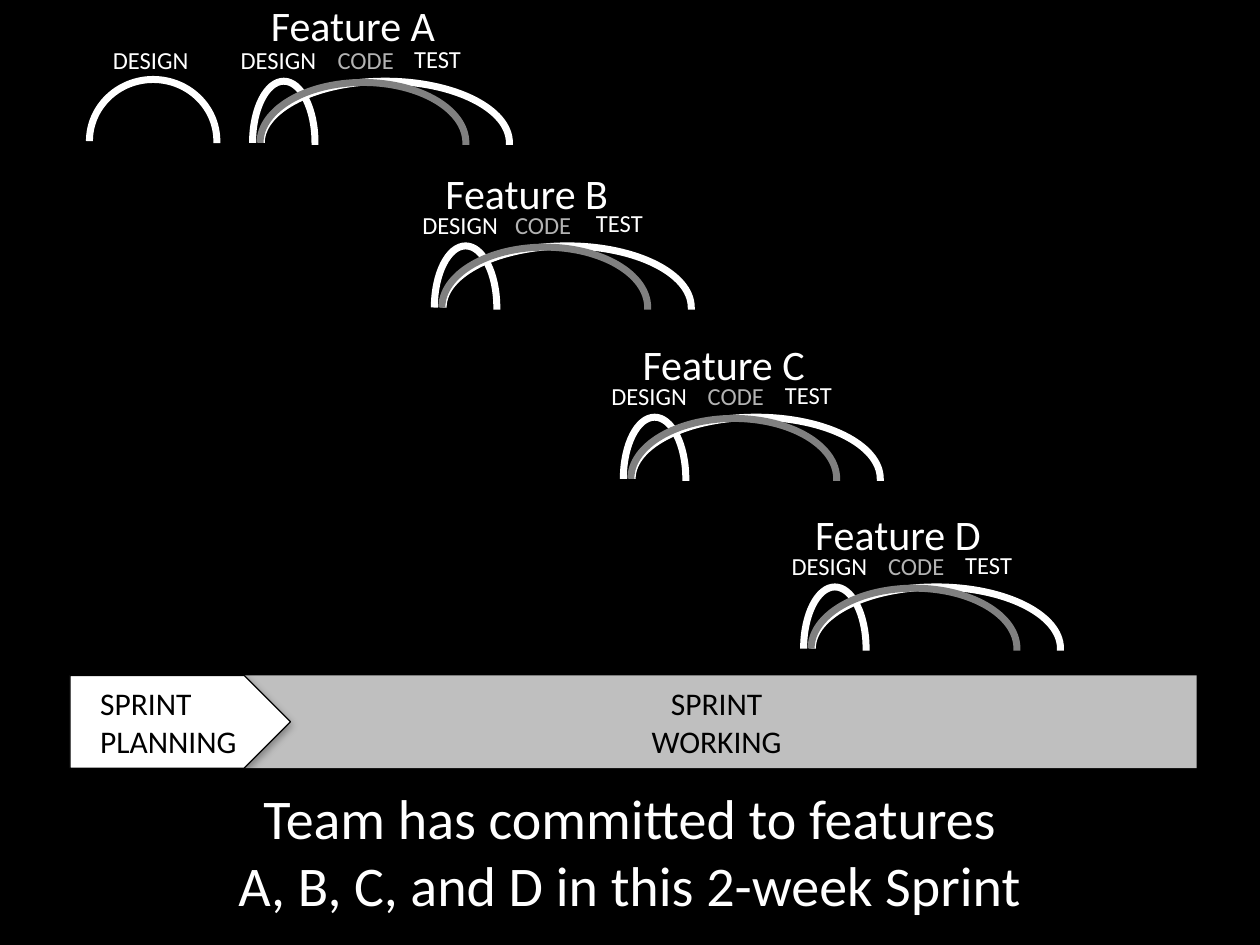
import dataclasses

import lxml.etree
import pptx
import pptx.dml.color
import pptx.enum.shapes
import pptx.enum.text
import pptx.oxml.ns
import pptx.util

Pt = pptx.util.Pt
qn = pptx.oxml.ns.qn
Align = pptx.enum.text.PP_ALIGN
Shapes = pptx.enum.shapes.MSO_SHAPE

COLORS = {
    "black": "000000",
    "white": "FFFFFF",
    "code_label": "B3B3B3",
    "code_arc": "808080",
    "band": "BFBFBF",
}
FONT = "Calibri"
ARC_BOTTOM = 36.4
ARC_TAIL = 1.2
QUARTER_CURVE = 0.5523  # Bezier handle length of a quarter ellipse


@dataclasses.dataclass
class Label:
    text: str
    left: float
    top: float
    width: float
    height: float = 24.5
    size: float = 14
    color: str = "white"


@dataclasses.dataclass
class Arc:
    left: float
    top: float
    width: float
    color: str = "white"


@dataclasses.dataclass
class Feature:
    name: str
    left: float
    top: float
    title_left: float
    title_top: float
    code_left: float


FEATURES = [
    Feature("Feature A", 144.3, 46.4, -8.1, -50.4, 17.9),
    Feature("Feature B", 248.2, 140.5, -12.7, -48.3, 15.4),
    Feature("Feature C", 356.2, 238.4, -8.2, -48.6, 17.5),
    Feature("Feature D", 459.2, 335.4, -11.6, -48.2, 17.6),
]
DESIGN_ARC, TEST_ARC, CODE_ARC = (
    Arc(0, 0, 35.7), Arc(5, 0, 141.8), Arc(4.3, 0.7, 117.6, "code_arc"))


def rgb(name: str) -> pptx.dml.color.RGBColor:
    return pptx.dml.color.RGBColor.from_string(COLORS[name])


def style_paragraph(paragraph, size: float, color: str, alignment) -> None:
    paragraph.alignment = alignment
    paragraph.font.name = FONT
    paragraph.font.size = Pt(size)
    paragraph.font.color.rgb = rgb(color)


def add_label(shapes, label: Label, left: float = 0, top: float = 0) -> None:
    """Draw a centred label, placed relative to (left, top)."""
    box = shapes.add_textbox(Pt(left + label.left), Pt(top + label.top),
                             Pt(label.width), Pt(label.height))
    frame = box.text_frame
    frame.word_wrap = True
    frame.auto_size = pptx.enum.text.MSO_AUTO_SIZE.SHAPE_TO_FIT_TEXT
    frame.text = label.text
    style_paragraph(frame.paragraphs[0], label.size, label.color, Align.CENTER)


def curve_segment(line, start, end, corner) -> None:
    """Turn a straight path segment into a quarter ellipse."""
    handles = [tuple(round(a + QUARTER_CURVE * (c - a)) for a, c in zip(point, corner))
               for point in (start, end)]
    curve = lxml.etree.Element(qn("a:cubicBezTo"))
    for x, y in (*handles, end):
        lxml.etree.SubElement(curve, qn("a:pt"), x=str(x), y=str(y))
    line.getparent().replace(line, curve)


def add_arc(shapes, arc: Arc, left: float = 0, top: float = 0) -> None:
    """Draw half an ellipse with a short tail, as a bowl turned upside down."""
    x, y = Pt(left + arc.left), Pt(top + arc.top)
    width, height, tail = Pt(arc.width), Pt(ARC_BOTTOM - arc.top), Pt(ARC_TAIL)
    points = [(0, 0), (0, tail), (width // 2, height), (width, tail)]
    builder = shapes.build_freeform(x, y)
    builder.add_line_segments([(x + dx, y + dy) for dx, dy in points[1:]], close=False)
    shape = builder.convert_to_shape()
    lines = list(shape._element.iter(qn("a:lnTo")))
    curve_segment(lines[1], points[1], points[2], (0, height))
    curve_segment(lines[2], points[2], points[3], (width, height))
    shape.rotation = 180
    shape.shadow.inherit = False
    shape.fill.background()
    shape.line.color.rgb = rgb(arc.color)
    shape.line.width = Pt(4)


def add_feature(slide, feature: Feature) -> None:
    """Draw the overlapping phases of one feature, back to front."""
    shapes = slide.shapes.add_group_shape().shapes
    place = (feature.left, feature.top)
    add_arc(shapes, DESIGN_ARC, *place)
    add_label(shapes, Label("DESIGN", -42.8, -24, 115.2), *place)
    add_label(shapes, Label("CODE", feature.code_left, -24, 93.6, color="code_label"),
              *place)
    add_arc(shapes, TEST_ARC, *place)
    add_label(shapes, Label("TEST", 48.8, -24.9, 113.8), *place)
    add_arc(shapes, CODE_ARC, *place)
    add_label(shapes, Label(feature.name, feature.title_left, feature.title_top,
                            131, 36.4, 24), *place)


def add_block(shapes, kind, left: float, top: float, width: float, height: float,
              fill: str):
    shape = shapes.add_shape(kind, Pt(left), Pt(top), Pt(width), Pt(height))
    shape.shadow.inherit = False
    shape.fill.solid()
    shape.fill.fore_color.rgb = rgb(fill)
    shape.line.fill.background()
    return shape


def outline(shape) -> None:
    shape.line.color.rgb = rgb("black")
    shape.line.width = Pt(0.75)


def add_shadow(shape, blur: float) -> None:
    effects = shape._element.spPr.find(qn("a:effectLst"))
    shadow = lxml.etree.SubElement(
        effects, qn("a:outerShdw"), blurRad=str(Pt(blur)), dist=str(Pt(1.8)),
        dir="5400000", rotWithShape="0")
    color = lxml.etree.SubElement(shadow, qn("a:srgbClr"), val=COLORS["black"])
    lxml.etree.SubElement(color, qn("a:alpha"), val="35000")


def add_stage(shapes, kind, text: str, left: float, width: float, fill: str,
              alignment, blur: float):
    """Draw one stage of the sprint bar."""
    shape = add_block(shapes, kind, left, 386, width, 53, fill)
    add_shadow(shape, blur)
    frame = shape.text_frame
    frame.word_wrap = True
    frame.vertical_anchor = pptx.enum.text.MSO_ANCHOR.MIDDLE
    frame.text = text
    style_paragraph(frame.paragraphs[0], 18, "black", alignment)
    return shape


def main() -> None:
    presentation = pptx.Presentation()
    presentation.slide_width, presentation.slide_height = Pt(720), Pt(540)
    slide = presentation.slides.add_slide(presentation.slide_layouts[5])

    # Black backdrop and strip
    backdrop = add_block(slide.shapes, Shapes.RECTANGLE, 0, 0, 720, 540, "black")
    outline(backdrop)
    add_block(slide.shapes, Shapes.RECTANGLE, 33.8, 87.8, 679.7, 33.1, "black")

    # Design work during sprint planning
    planning_shapes = slide.shapes.add_group_shape().shapes
    add_arc(planning_shapes, Arc(51.1, 0, 72.8), top=45.4)
    add_label(planning_shapes, Label("DESIGN", 35.7, 22.3, 100.8))

    # Staggered features
    for feature in FEATURES:
        add_feature(slide, feature)

    # Title at the foot of the slide, in front of the backdrop
    title = slide.shapes.title
    slide.shapes._spTree.append(title._element)
    title.left, title.top, title.width, title.height = Pt(0), Pt(444.2), Pt(720), Pt(85)
    title.text_frame.text = ("Team has committed to features\n"
                             "A, B, C, and D in this 2-week Sprint")
    title.text_frame.vertical_anchor = pptx.enum.text.MSO_ANCHOR.TOP
    for paragraph in title.text_frame.paragraphs:
        style_paragraph(paragraph, 32, "white", Align.CENTER)

    # Sprint bar
    bar_shapes = slide.shapes.add_group_shape().shapes
    add_stage(bar_shapes, Shapes.RECTANGLE, "SPRINT\vWORKING", 135.2, 548.6, "band",
              Align.CENTER, 3.1)
    planning = add_stage(bar_shapes, Shapes.PENTAGON, "SPRINT PLANNING", 40, 126,
                         "white", Align.LEFT, 4.7)
    outline(planning)
    planning.text_frame.margin_left = Pt(17.2)
    planning.text_frame.margin_top = planning.text_frame.margin_bottom = Pt(0)

    presentation.save("out.pptx")


if __name__ == "__main__":
    main()
